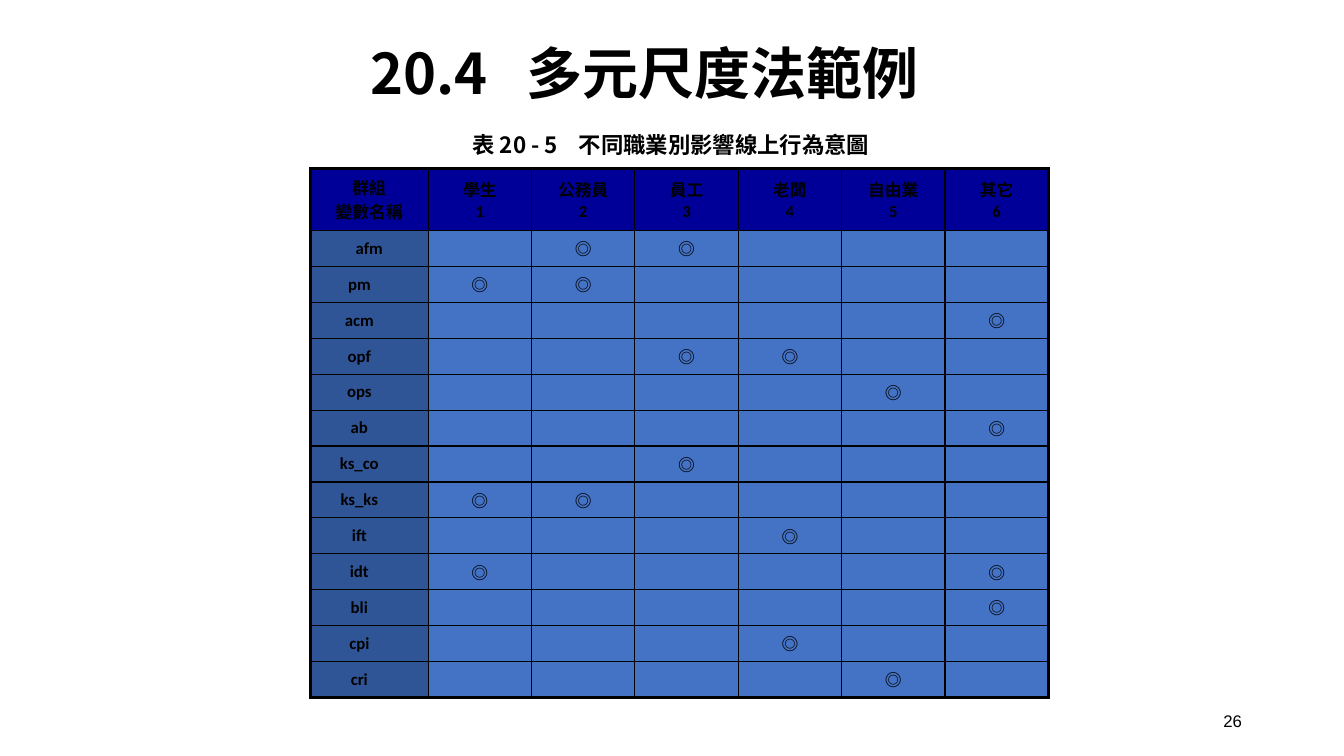
from dataclasses import dataclass
from typing import Optional

from lxml.etree import SubElement
from pptx import Presentation
from pptx.dml.color import RGBColor
from pptx.enum.text import MSO_ANCHOR, PP_ALIGN
from pptx.oxml.ns import qn
from pptx.util import Cm, Pt

COLORS = {"ink": "000000", "header": "000099", "label": "2F5597", "body": "4472C4"}
CJK = "Noto Sans CJK SC"
MARK_FONT = "Noto Sans CJK KR"
MARK = "◎"


@dataclass
class Caption:
    text: str
    left: float
    top: float
    width: float
    height: float
    size: float
    font: str = CJK
    bold: bool = True
    align: PP_ALIGN = PP_ALIGN.LEFT
    tab: Optional[float] = None
    wrap: bool = True


@dataclass
class Variable:
    name: str
    groups: tuple[int, ...]
    indent: float = 0.5  # extra right margin that moves the label left


CAPTIONS = [
    Caption("26", 23.93, 17.65, 7.62, 1.02, 12, "Arial", False, PP_ALIGN.RIGHT),
    Caption("表 20 - 5\t不同職業別影響線上行為意圖", 11.66, 3.18, 10.57, 0.94, 16,
            tab=2.68, wrap=False),
    Caption("20.4\t多元尺度法範例", 9.09, 0.64, 18.21, 2.34, 40, tab=3.94),
]
GROUPS = ["學生", "公務員", "員工", "老闆", "自由業", "其它"]
VARIABLES = [
    Variable("afm", (2, 3), indent=0),
    Variable("pm", (1, 2)),
    Variable("acm", (6,)),
    Variable("opf", (3, 4)),
    Variable("ops", (5,)),
    Variable("ab", (6,)),
    Variable("ks_co", (3,)),
    Variable("ks_ks", (1, 2)),
    Variable("ift", (4,)),
    Variable("idt", (1, 6)),
    Variable("bli", (6,)),
    Variable("cpi", (4,)),
    Variable("cri", (5,)),
]


def format_text(frame, size: float, font: str, east_asian: str, bold: bool, align) -> None:
    for paragraph in frame.paragraphs:
        paragraph.alignment = align
        for run in paragraph.runs:
            run.font.size = Pt(size)
            run.font.bold = bold
            run.font.color.rgb = RGBColor.from_string(COLORS["ink"])
            run.font.name = font
            SubElement(run.font._element, qn("a:ea"), typeface=east_asian)


def draw_caption(slide, caption: Caption) -> None:
    box = slide.shapes.add_textbox(Cm(caption.left), Cm(caption.top),
                                   Cm(caption.width), Cm(caption.height))
    frame = box.text_frame
    frame.word_wrap = caption.wrap
    frame.vertical_anchor = MSO_ANCHOR.MIDDLE
    frame.text = caption.text
    if caption.tab is not None:
        properties = frame.paragraphs[0]._p.get_or_add_pPr()
        stops = SubElement(properties, qn("a:tabLst"))
        SubElement(stops, qn("a:tab"), pos=str(Cm(caption.tab)), algn="l")
    format_text(frame, caption.size, caption.font, caption.font, caption.bold, caption.align)


def draw_borders(cell, outer: dict[str, bool]) -> None:
    properties = cell._tc.get_or_add_tcPr()
    for position, (side, is_outer) in enumerate(outer.items()):
        line = properties.makeelement(qn(f"a:{side}"), {"w": str(Pt(2.25 if is_outer else 1))})
        fill = SubElement(line, qn("a:solidFill"))
        SubElement(fill, qn("a:srgbClr"), val=COLORS["ink"])
        properties.insert(position, line)


def fill_cell(cell, text: str, color: str, font: str = "Calibri",
              east_asian: str = CJK, indent: float = 0) -> None:
    cell.fill.solid()
    cell.fill.fore_color.rgb = RGBColor.from_string(COLORS[color])
    cell.vertical_anchor = MSO_ANCHOR.MIDDLE
    cell.margin_left, cell.margin_right = Cm(0.18), Cm(0.18 + indent)
    cell.margin_top = cell.margin_bottom = 0
    cell.text_frame.text = text
    format_text(cell.text_frame, 12, font, east_asian, True, PP_ALIGN.CENTER)


def draw_intent_table(slide) -> None:
    width, height = Cm(18.6), Cm(13.34)
    label_width, header_height = Cm(2.97), Cm(1.57)
    last_row, last_column = len(VARIABLES), len(GROUPS)
    table = slide.shapes.add_table(last_row + 1, last_column + 1,
                                   Cm(7.82), Cm(4.24), width, height).table
    table.first_row = table.horz_banding = False

    # Column widths and row heights
    for index, column in enumerate(table.columns):
        column.width = (width - label_width) // last_column if index else label_width
    for index, row in enumerate(table.rows):
        row.height = (height - header_height) // last_row if index else header_height

    # Header row
    fill_cell(table.cell(0, 0), "群組\n變數名稱", "header")
    for number, group in enumerate(GROUPS, 1):
        fill_cell(table.cell(0, number), f"{group}\n{number}", "header")

    # One row per variable, marked under the groups it affects
    for row, variable in enumerate(VARIABLES, 1):
        fill_cell(table.cell(row, 0), variable.name, "label", indent=variable.indent)
        for number in range(1, last_column + 1):
            mark = MARK if number in variable.groups else ""
            fill_cell(table.cell(row, number), mark, "body", MARK_FONT, MARK_FONT)

    # Thin grid inside a thick frame
    for row in range(last_row + 1):
        for column in range(last_column + 1):
            draw_borders(table.cell(row, column), {
                "lnL": column == 0, "lnR": column == last_column,
                "lnT": row == 0, "lnB": row == last_row})


def main() -> None:
    presentation = Presentation()
    presentation.slide_width, presentation.slide_height = Cm(33.87), Cm(19.05)
    slide = presentation.slides.add_slide(presentation.slide_layouts[6])
    draw_intent_table(slide)
    for caption in CAPTIONS:
        draw_caption(slide, caption)
    presentation.save("out.pptx")


if __name__ == "__main__":
    main()
